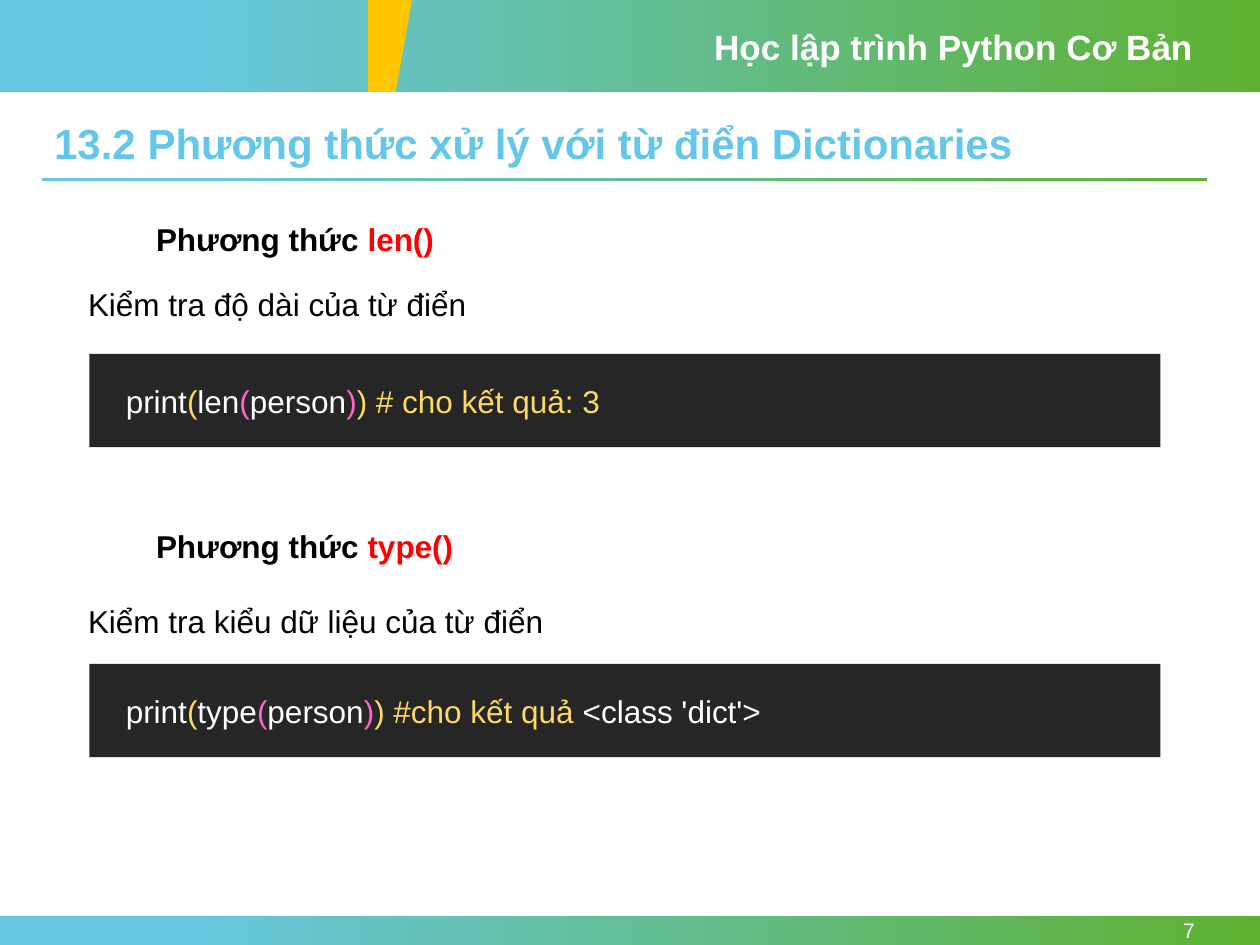
from dataclasses import dataclass

from pptx import Presentation
from pptx.dml.color import RGBColor
from pptx.enum.shapes import MSO_SHAPE
from pptx.enum.text import MSO_ANCHOR, PP_ALIGN
from pptx.util import Inches, Pt

RECT = MSO_SHAPE.RECTANGLE
MIDDLE = MSO_ANCHOR.MIDDLE
LEFT, RIGHT = PP_ALIGN.LEFT, PP_ALIGN.RIGHT


@dataclass(frozen=True)
class Theme:
    font: str = "Arial"
    blue: str = "67C7DF"
    green: str = "5EB130"
    amber: str = "FFC500"
    title: str = "64C7E9"
    black: str = "000000"
    white: str = "FFFFFF"
    red: str = "FF0000"
    dark: str = "262626"
    gold: str = "FFD966"
    pink: str = "FF66CC"
    title_size: int = 24
    head_size: int = 20
    body_size: int = 18
    page_size: int = 12


THEME = Theme()


def rgb(value):
    return RGBColor.from_string(value)


def add_rect(slide, x, y, w, h):
    rect = slide.shapes.add_shape(RECT, Inches(x), Inches(y), Inches(w), Inches(h))
    rect.shadow.inherit = False
    rect.line.fill.background()
    return rect


def add_bar(slide, x, y, w, h):
    """Add a bar that fades from blue to green, left to right."""
    fill = add_rect(slide, x, y, w, h).fill
    fill.gradient()
    fill.gradient_angle = 0
    stops = ((0.15, THEME.blue), (1, THEME.green))
    for stop, (place, color) in zip(fill.gradient_stops, stops):
        stop.position = place
        stop.color.rgb = rgb(color)


def add_wedge(slide):
    build = slide.shapes.build_freeform(Inches(2.92), 0)
    corners = ((3.27, 0), (3.14, 0.73), (2.92, 0.73))
    build.add_line_segments([(Inches(x), Inches(y)) for x, y in corners], close=True)
    wedge = build.convert_to_shape()
    wedge.shadow.inherit = False
    wedge.fill.solid()
    wedge.fill.fore_color.rgb = rgb(THEME.amber)
    wedge.line.fill.background()


def write(frame, runs, size, bold=False, align=LEFT):
    """Fill a frame with one paragraph of (text, color) runs."""
    frame.word_wrap = True
    para = frame.paragraphs[0]
    para.alignment = align
    para.font.name = THEME.font
    para.font.size = Pt(size)
    para.font.bold = bold
    for text, color in runs:
        run = para.add_run()
        run.text = text
        run.font.color.rgb = rgb(color)
    return para


def add_text(slide, x, y, w, h, runs, size=THEME.body_size, **style):
    box = slide.shapes.add_textbox(Inches(x), Inches(y), Inches(w), Inches(h))
    write(box.text_frame, runs, size, **style)
    return box


def add_title(slide, text):
    title = slide.shapes.title
    title.left, title.top = Inches(0.33), Inches(0.93)
    title.width, title.height = Inches(9.25), Inches(0.46)
    title.text_frame.vertical_anchor = MIDDLE
    para = write(title.text_frame, [(text, THEME.title)], THEME.title_size, bold=True)
    para.line_spacing = 0.9


def add_frame(slide):
    """Add the header, the rule under the title and the footer."""
    add_bar(slide, 0, 0, 10, 0.73)
    add_bar(slide, 0, 7.27, 10, 0.23)
    add_bar(slide, 0.33, 1.41, 9.25, 0.03)
    add_wedge(slide)
    add_text(slide, 5.57, 0.15, 4, 0.44,
             [("Học lập trình Python Cơ Bản", THEME.white)],
             THEME.head_size, bold=True)
    page = add_text(slide, 8.66, 7.27, 0.92, 0.23, [("7", THEME.white)],
                    THEME.page_size, align=RIGHT)
    page.text_frame.vertical_anchor = MIDDLE


def add_method(slide, name, note, tail, tops):
    """Add a method's heading, its note and its code panel."""
    head, body, panel = tops
    add_text(slide, 1.14, head, 7.03, 0.4,
             [("Phương thức ", THEME.black), (f"{name}()", THEME.red)], bold=True)
    add_text(slide, 0.6, body, 8.32, 0.4, [(note, THEME.black)])
    rect = add_rect(slide, 0.71, panel, 8.5, 0.74)
    rect.fill.solid()
    rect.fill.fore_color.rgb = rgb(THEME.dark)
    code = [("print", THEME.white), ("(", THEME.gold), (name, THEME.white),
            ("(", THEME.pink), ("person", THEME.white), (")", THEME.pink)]
    add_text(slide, 0.9, panel + 0.17, 8.1, 0.4, code + tail)


def main():
    deck = Presentation()
    deck.slide_width, deck.slide_height = Inches(10), Inches(7.5)
    slide = deck.slides.add_slide(deck.slide_layouts[5])
    add_frame(slide)
    add_title(slide, "13.2 Phương thức xử lý với từ điển Dictionaries")
    add_method(slide, "len", "Kiểm tra độ dài của từ điển",
               [(") # cho kết quả: 3", THEME.gold)], (1.7, 2.21, 2.81))
    add_method(slide, "type", "Kiểm tra kiểu dữ liệu của từ điển",
               [(") #cho kết quả ", THEME.gold), ("<class 'dict'>", THEME.white)],
               (4.13, 4.73, 5.27))
    deck.save("out.pptx")


if __name__ == "__main__":
    main()
